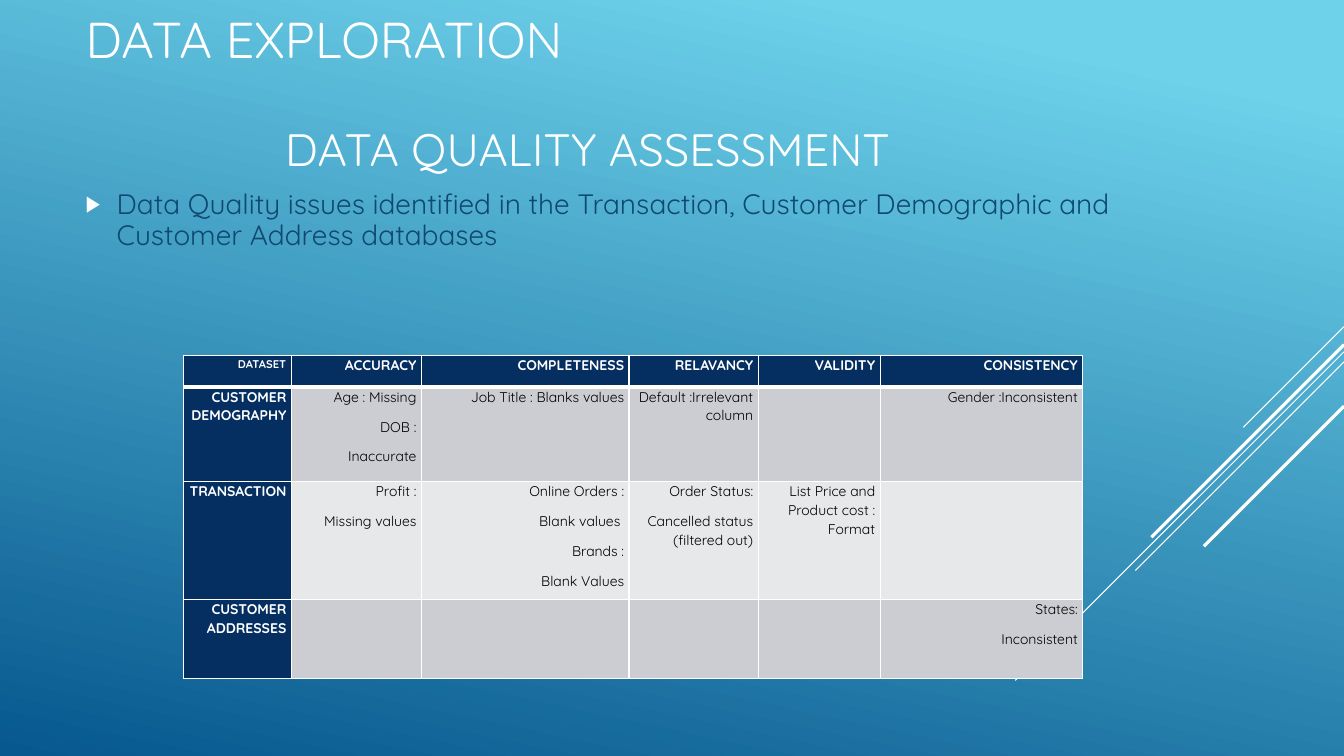
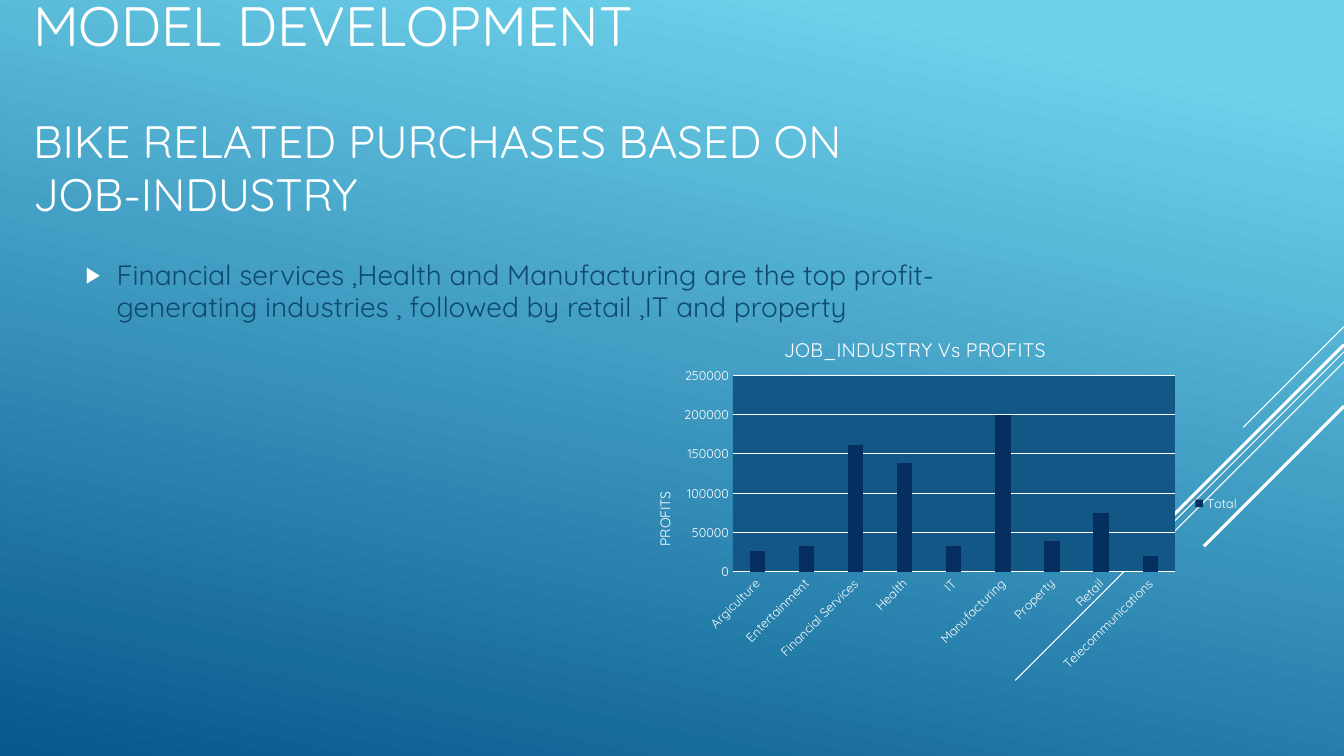
from pptx import Presentation, util as u
from pptx.chart.data import CategoryChartData
from pptx.dml.color import RGBColor
from pptx.enum import chart as ch, shapes, text
from pptx.oxml import parse_xml
from pptx.oxml.ns import nsdecls, qn

# Shared look
FONT = "Quicksand"
WHITE = RGBColor(0xFF, 0xFF, 0xFF)
BLACK = RGBColor(0, 0, 0)
NAVY = RGBColor(0x05, 0x2F, 0x61)
INK = RGBColor(0x0F, 0x49, 0x6F)
SKY = RGBColor(0x6E, 0xD2, 0xEB)
DEEP = RGBColor(0x06, 0x58, 0x8E)
PLOT = RGBColor(0x12, 0x57, 0x85)
BANDS = [RGBColor(0xE7, 0xE8, 0xEA), RGBColor(0xCC, 0xCD, 0xD2)]
W, H = 13.33, 7.5
# Diagonal rays from the right edge: top, run, line width
RAYS = [(3.24, 1.0, 0.75), (3.49, 3.26, 0.75), (3.59, 2.07, 0.75),
        (3.42, 1.91, 2.25), (4.03, 1.39, 2.25)]


def style(font, size, color, bold=False):
    font.name, font.size, font.bold = FONT, u.Pt(size), bold
    font.color.rgb = color


def place(part, index, x, y, extra=""):
    """Give a chart part a fixed place, in shares of the chart."""
    for old in part.findall(qn("c:layout")):
        part.remove(old)
    part.insert(index, parse_xml(
        f'<c:layout {nsdecls("c")}><c:manualLayout>'
        f'{"<c:layoutTarget val=%sinner%s/>" % (chr(34), chr(34)) if extra else ""}'
        '<c:xMode val="edge"/><c:yMode val="edge"/>'
        f'<c:x val="{x}"/><c:y val="{y}"/>{extra}</c:manualLayout></c:layout>'))


deck = Presentation()
deck.slide_width, deck.slide_height = u.Inches(W), u.Inches(H)

# Heading: left, top, size, gap, sub-heading indent; body: top, width, height, inset
PAGES = [
    ("DATA EXPLORATION", "DATA QUALITY ASSESSMENT", (0.75, 0.11, 36, 39, 1.98),
     "Data Quality issues identified in the Transaction, Customer Demographic "
     "and Customer Address databases", (1.04, 10.77, 3.66, 0.83)),
    ("MODEL DEVELOPMENT", "BIKE RELATED PURCHASES BASED ON JOB-INDUSTRY",
     (0.23, 0.25, 39.6, 41, 0),
     "Financial services ,Health and Manufacturing are the top profit- "
     "generating industries , followed by retail ,IT and property",
     (2.01, 9.33, 2.69, 0.57)),
]

for heading, subheading, head_place, message, body_place in PAGES:
    page = deck.slides.add_slide(deck.slide_layouts[6])

    # Background gradient
    fill = page.background.fill
    fill.gradient()
    fill.gradient_angle = 258
    for stop, color, position in zip(fill.gradient_stops, (SKY, DEEP), (0.1, 1)):
        stop.color.rgb, stop.position = color, position

    # Rays
    for top, run, weight in RAYS:
        ray = page.shapes.add_connector(
            shapes.MSO_CONNECTOR.STRAIGHT, u.Inches(W), u.Inches(top),
            u.Inches(W - run), u.Inches(top + run))
        ray.line.color.rgb, ray.line.width = WHITE, u.Pt(weight)
        ray._element.spPr.append(parse_xml(f'<a:effectLst {nsdecls("a")}/>'))

    # Title and sub-heading
    left, top, size, gap, indent = head_place
    title = page.shapes.add_textbox(*map(u.Inches, (left, top, 9.33, 1.65))).text_frame
    title.word_wrap = True
    title.vertical_anchor = text.MSO_ANCHOR.MIDDLE
    title.text = heading + "\n" + subheading
    for para, points in zip(title.paragraphs, (size, 32.4)):
        para.line_spacing = 0.97
        style(para.runs[0].font, points, WHITE)
    para.space_before = u.Pt(gap)
    para._p.get_or_add_pPr().set("marL", str(u.Inches(indent)))

    # Bulleted message
    top, width, height, inset = body_place
    body = page.shapes.add_textbox(*map(u.Inches, (0.75, top, width, height))).text_frame
    body.word_wrap = True
    body.margin_top = u.Inches(inset)
    body.text = message
    para = body.paragraphs[0]
    para.line_spacing = 0.95
    style(para.runs[0].font, 20, INK)
    props = para._p.get_or_add_pPr()
    props.set("marL", str(u.Inches(0.31)))
    props.set("indent", str(-u.Inches(0.31)))
    for tag in (f'buClr {nsdecls("a")}><a:srgbClr val="{WHITE}"/></a:buClr',
                f'buSzPct {nsdecls("a")} val="80000"/',
                f'buFont {nsdecls("a")} typeface="Arial"/',
                f'buChar {nsdecls("a")} char="\u25b6"/'):
        props.append(parse_xml(f"<a:{tag}>"))

# Data quality table
ROWS = [
    ["DATASET", "ACCURACY", "COMPLETENESS", "RELAVANCY", "VALIDITY", "CONSISTENCY"],
    ["CUSTOMER DEMOGRAPHY", "Age : Missing\nDOB :\nInaccurate",
     "Job Title : Blanks values", "Default :Irrelevant column", "",
     "Gender :Inconsistent"],
    ["TRANSACTION", "Profit :\nMissing values",
     "Online Orders :\nBlank values \nBrands :\nBlank Values",
     "Order Status:\nCancelled status (filtered out)",
     "List Price and Product cost : Format", ""],
    ["CUSTOMER ADDRESSES", "", "", "", "", "States:\nInconsistent"],
]
table = deck.slides[0].shapes.add_table(
    4, 6, *map(u.Inches, (1.82, 3.53, 8.91, 3.2))).table
for column, width in zip(table.columns, (1.07, 1.29, 2.06, 1.28, 1.21, 2.01)):
    column.width = u.Inches(width)
for row, height in zip(table.rows, (0.31, 0.94, 1.17, 0.78)):
    row.height = u.Inches(height)
for r, row in enumerate(ROWS):
    for c, words in enumerate(row):
        cell = table.cell(r, c)
        is_label = r == 0 or c == 0
        cell.margin_left = cell.margin_right = u.Inches(0.05)
        cell.margin_top = cell.margin_bottom = 0
        cell.fill.solid()
        cell.fill.fore_color.rgb = NAVY if is_label else BANDS[r % 2]
        edges = {"L": 1, "R": 1, "T": 3 if r == 1 else 1, "B": 3 if r == 0 else 1}
        for i, (side, weight) in enumerate(edges.items()):
            cell._tc.get_or_add_tcPr().insert(i, parse_xml(
                f'<a:ln{side} {nsdecls("a")} w="{u.Pt(weight)}"><a:solidFill>'
                f'<a:srgbClr val="{WHITE}"/></a:solidFill></a:ln{side}>'))
        cell.text = words
        for para in cell.text_frame.paragraphs:
            para.alignment = text.PP_ALIGN.RIGHT
            para.line_spacing, para.space_after = 1.07, u.Pt(8)
            for span in para.runs:
                style(span.font, 8 if r == c == 0 else 10,
                      WHITE if is_label else BLACK, is_label)

# Profit chart
PROFITS = {"Argiculture": 26000, "Entertainment": 33000, "Financial Services": 161000,
           "Health": 139000, "IT": 33000, "Manufacturing": 199000,
           "Property": 39000, "Retail": 75000, "Telecommunications": 20000}
data = CategoryChartData()
data.categories = list(PROFITS)
data.add_series("Total", list(PROFITS.values()))
chart = deck.slides[1].shapes.add_chart(
    ch.XL_CHART_TYPE.COLUMN_CLUSTERED,
    *map(u.Inches, (6.35, 3.18, 6.04, 3.63)), data).chart
style(chart.font, 10, WHITE)

plot = chart.plots[0]
plot.gap_width, plot.overlap, plot.vary_by_categories = 219, -27, False
bars = plot.series[0].format.fill
bars.solid()
bars.fore_color.rgb = NAVY
area = chart._chartSpace.chart.plotArea
place(area, 0, 0.152, 0.15, '<c:w val="0.726"/><c:h val="0.537"/>')
area.append(parse_xml(f'<c:spPr {nsdecls("c", "a")}><a:solidFill>'
                      f'<a:srgbClr val="{PLOT}"/></a:solidFill></c:spPr>'))

# Axes, titles and legend
industries, profits = chart.category_axis, chart.value_axis
for axis in (industries, profits):
    axis.major_tick_mark = axis.minor_tick_mark = ch.XL_TICK_MARK.NONE
    style(axis.tick_labels.font, 9, WHITE)
industries._element.find(qn("c:txPr")).find(qn("a:bodyPr")).set("rot", "-2700000")
profits.minimum_scale, profits.maximum_scale, profits.major_unit = 0, 250000, 50000
profits.format.line.fill.background()
for line in (industries.format.line, profits.major_gridlines.format.line):
    line.color.rgb, line.width = WHITE, u.Pt(0.75)

chart.has_title = True
for caption, words, size, x, y in (
        (chart.chart_title, "JOB_INDUSTRY Vs PROFITS", 14, 0.23, 0.03),
        (profits.axis_title, "PROFITS", 10, 0.02, 0.46)):
    caption.text_frame.text = words
    style(caption.text_frame.paragraphs[0].runs[0].font, size, WHITE)
    place(caption._element, 1, x, y)
profits.axis_title.text_frame._txBody.bodyPr.set("rot", "-5400000")

chart.has_legend = True
chart.legend.position = ch.XL_LEGEND_POSITION.RIGHT
chart.legend.include_in_layout = False
style(chart.legend.font, 9, WHITE)

deck.save("out.pptx")
